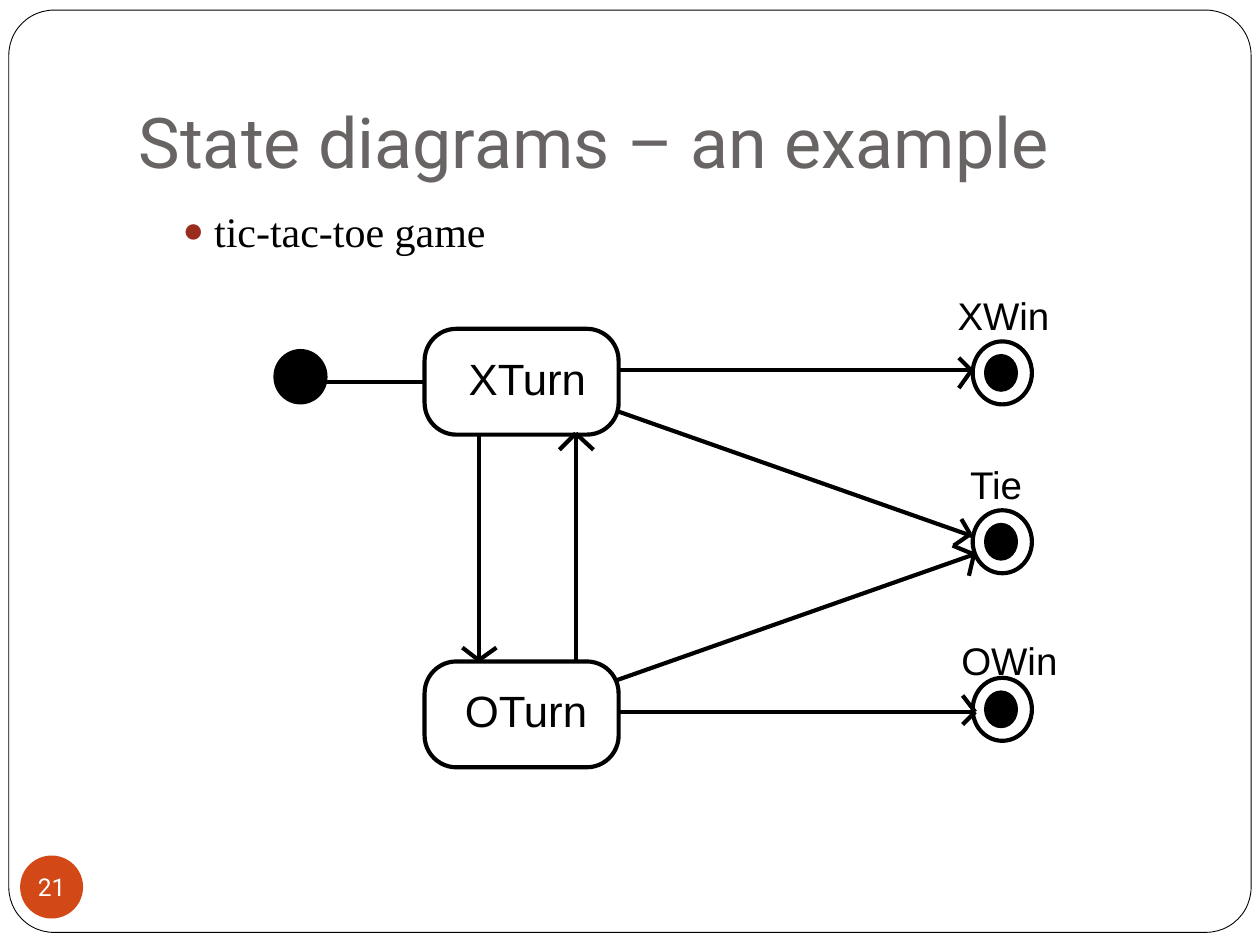
from dataclasses import dataclass

from lxml import etree
from pptx import Presentation
from pptx import util as u
from pptx.dml.color import RGBColor
from pptx.enum import shapes, text
from pptx.oxml.ns import qn


@dataclass(frozen=True)
class Theme:
    ink: str = "000000"
    paper: str = "FFFFFF"
    title: str = "696464"
    badge: str = "D34817"
    bullet: str = "9B2D1F"
    heading_font: str = "Roboto"
    body_font: str = "Times New Roman"
    label_font: str = "Arial"
    title_size: int = 40
    body_size: int = 24
    state_size: int = 25
    final_size: int = 22
    badge_size: int = 14
    stroke: float = 2.38
    hairline: float = 0.5


THEME = Theme()
KIND = shapes.MSO_SHAPE


def rgb(value):
    return RGBColor.from_string(value)


def inches(values):
    return [u.Inches(v) for v in values]


def write(tf, words, font, size, color=THEME.ink, align=None, anchor=None,
          margins=None, wrap=True, fit=text.MSO_AUTO_SIZE.NONE):
    tf.word_wrap = wrap
    tf.auto_size = fit
    if anchor is not None:
        tf.vertical_anchor = anchor
    if margins is not None:
        tf.margin_left, tf.margin_top, tf.margin_right, tf.margin_bottom = inches(margins)
    p = tf.paragraphs[0]
    p.alignment = align
    r = p.add_run()
    r.text = words
    r.font.name = font
    r.font.size = u.Pt(size)
    r.font.color.rgb = rgb(color)
    return p


def place(sp, box):
    sp.left, sp.top, sp.width, sp.height = inches(box)


def add_shape(slide, kind, box, fill=None, line=None, width=THEME.stroke, adj=None):
    sp = slide.shapes.add_shape(kind, *inches(box))
    sp.shadow.inherit = False
    if adj is not None:
        sp.adjustments[0] = adj
    if fill:
        sp.fill.solid()
        sp.fill.fore_color.rgb = rgb(fill)
    else:
        sp.fill.background()
    if line:
        sp.line.color.rgb = rgb(line)
        sp.line.width = u.Pt(width)
    else:
        sp.line.fill.background()
    return sp


def add_line(slide, start, end):
    line = slide.shapes.add_connector(shapes.MSO_CONNECTOR.STRAIGHT, *inches(start + end))
    line.line.color.rgb = rgb(THEME.ink)
    line.line.width = u.Pt(THEME.stroke)
    etree.SubElement(line._element.spPr, qn("a:effectLst"))
    return line


def add_transition(slide, start, end, wings, tip=None):
    add_line(slide, start, end)
    for wing in wings:
        add_line(slide, wing, tip or end)


def add_label(slide, words, box, size):
    sp = slide.shapes.add_textbox(*inches(box))
    write(sp.text_frame, words, THEME.label_font, size, margins=(0, 0, 0, 0),
          wrap=False, fit=text.MSO_AUTO_SIZE.SHAPE_TO_FIT_TEXT)


def add_state(slide, words, top, label_box):
    sp = add_shape(slide, KIND.ROUNDED_RECTANGLE, (3.37, top, 1.54, 0.84),
                   line=THEME.ink, adj=0.3)
    add_label(slide, words, label_box, THEME.state_size)
    return sp


def add_final_state(slide, words, top, label_box):
    add_label(slide, words, label_box, THEME.final_size)
    add_shape(slide, KIND.OVAL, (7.72, top, 0.47, 0.5), line=THEME.ink)
    add_shape(slide, KIND.OVAL, (7.81, top + 0.1, 0.27, 0.3), fill=THEME.ink)


def add_frame(slide):
    sp = add_shape(slide, KIND.ROUNDED_RECTANGLE, (0.07, 0.08, 9.86, 7.32),
                   fill=THEME.paper, line=THEME.ink, width=THEME.hairline, adj=0.049)
    tree = slide.shapes._spTree
    tree.remove(sp._element)
    tree.insert(2, sp._element)


def add_page_badge(slide, number):
    sp = add_shape(slide, KIND.OVAL, (0.16, 6.79, 0.5, 0.5), fill=THEME.badge)
    write(sp.text_frame, number, THEME.heading_font, THEME.badge_size, color=THEME.paper,
          align=text.PP_ALIGN.CENTER, anchor=text.MSO_ANCHOR.MIDDLE,
          margins=(0, 0, 0, 0), wrap=False)


def set_bullet(p, char, color, percent, margin, indent):
    p_pr = p._p.get_or_add_pPr()
    p_pr.set("marL", str(u.Inches(margin)))
    p_pr.set("indent", str(u.Inches(indent)))
    bu_clr = etree.SubElement(p_pr, qn("a:buClr"))
    etree.SubElement(bu_clr, qn("a:srgbClr"), val=color)
    etree.SubElement(p_pr, qn("a:buSzPct"), val=str(percent * 1000))
    etree.SubElement(p_pr, qn("a:buChar"), char=char)


def fill_title(slide, words):
    sp = slide.shapes.title
    place(sp, (1, 0.3, 8.5, 1.25))
    write(sp.text_frame, words, THEME.heading_font, THEME.title_size, color=THEME.title,
          align=text.PP_ALIGN.JUSTIFY, anchor=text.MSO_ANCHOR.BOTTOM,
          margins=(0.1, 0.05, 0.1, 0.1))


def fill_body(slide, words):
    sp = slide.placeholders[1]
    place(sp, (1, 1.58, 8.5, 5))
    p = write(sp.text_frame, words, THEME.body_font, THEME.body_size,
              align=text.PP_ALIGN.JUSTIFY)
    p.level = 1
    p.space_before = u.Pt(3.8)
    set_bullet(p, "●", THEME.bullet, 85, 0.6, -0.25)


def add_diagram(slide):
    x_turn = add_state(slide, "XTurn", 2.61, (3.72, 2.79, 1.07, 0.33))
    add_state(slide, "OTurn", 5.25, (3.69, 5.43, 1.1, 0.33))
    add_final_state(slide, "XWin", 2.71, (7.6, 2.32, 0.84, 0.3))
    add_final_state(slide, "Tie", 4.05, (7.7, 3.66, 0.53, 0.3))
    add_final_state(slide, "OWin", 5.38, (7.63, 5.06, 0.87, 0.3))

    add_shape(slide, KIND.OVAL, (2.17, 2.77, 0.43, 0.44), fill=THEME.ink)
    add_line(slide, (2.47, 3.03), (3.37, 3.03)).end_connect(x_turn, 1)

    add_transition(slide, (3.8, 3.44), (3.8, 5.24), [(3.94, 5.14), (3.67, 5.14)])
    add_transition(slide, (4.57, 5.24), (4.57, 3.44), [(4.71, 3.57), (4.44, 3.57)])
    add_transition(slide, (4.9, 2.94), (7.71, 2.94), [(7.61, 2.84), (7.61, 3.08)])
    add_transition(slide, (4.9, 5.65), (7.74, 5.65), [(7.64, 5.52), (7.64, 5.75)])
    add_transition(slide, (4.89, 3.26), (7.73, 4.26), [(7.63, 4.12), (7.57, 4.33)],
                   tip=(7.7, 4.24))
    add_transition(slide, (4.89, 5.4), (7.73, 4.4), [(7.56, 4.33), (7.69, 4.57)])


def main():
    prs = Presentation()
    prs.slide_width, prs.slide_height = inches((10, 7.5))
    slide = prs.slides.add_slide(prs.slide_layouts[1])
    add_frame(slide)
    add_page_badge(slide, "21")
    fill_title(slide, "State diagrams – an example")
    fill_body(slide, "tic-tac-toe game")
    add_diagram(slide)
    prs.save("out.pptx")


if __name__ == "__main__":
    main()
